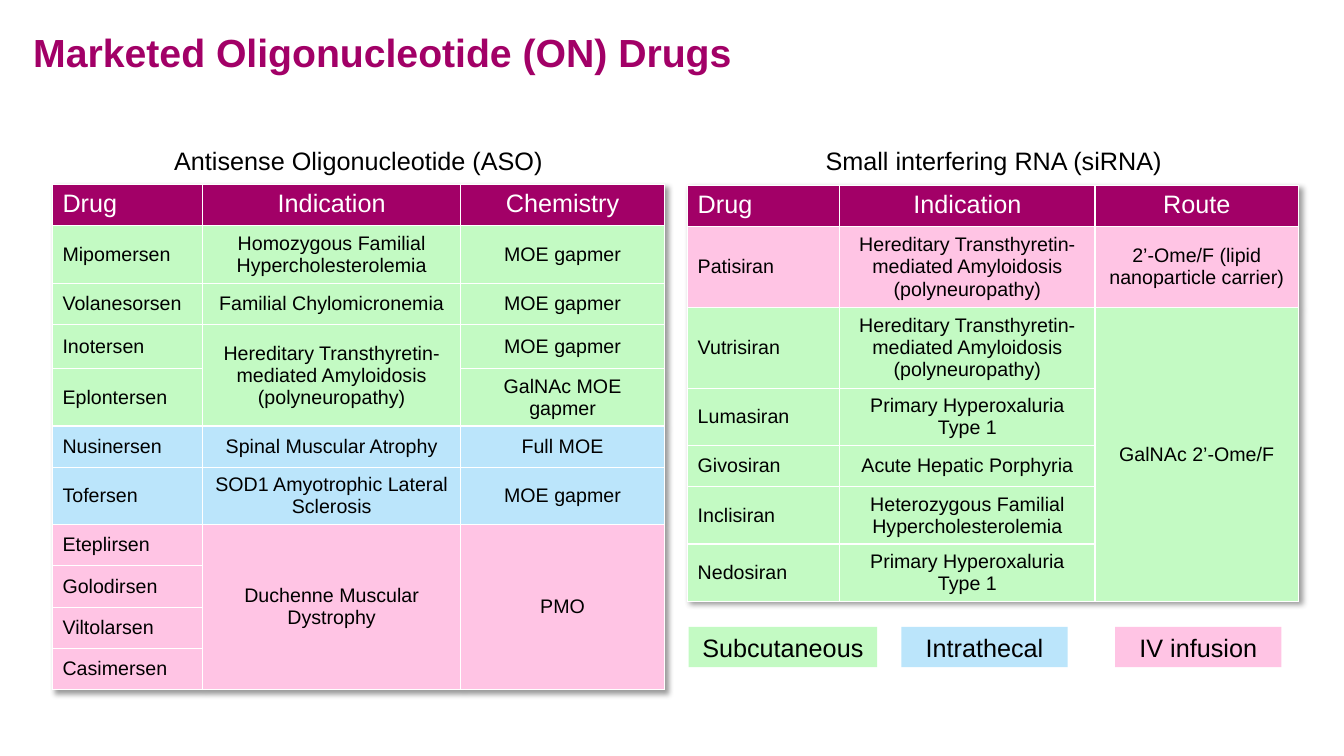
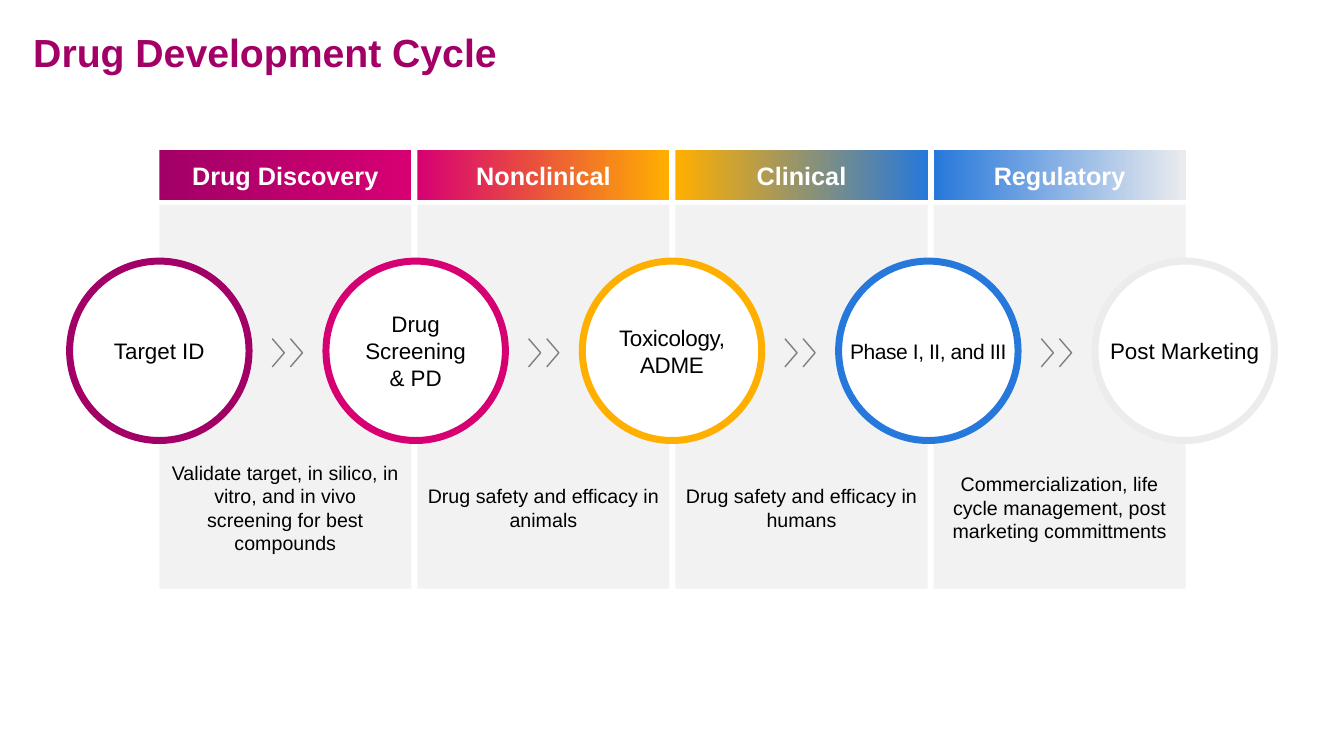
from lxml import etree
from pptx import Presentation
from pptx.dml.color import RGBColor
from pptx.enum import shapes, text
from pptx.oxml import ns
from pptx.util import Inches, Pt

FONT = "Arial"
COLORS = {
    "plum": "A20067", "magenta": "D70073", "amber": "FFAF00", "blue": "2778DB",
    "silver": "EBECEE", "panel": "F2F2F2", "chevron": "808080",
    "white": "FFFFFF", "black": "000000",
    "subcutaneous": "C3FAC3", "intrathecal": "BBE5FB", "infusion": "FFC4E4",
}
LEFT, CENTER = text.PP_ALIGN.LEFT, text.PP_ALIGN.CENTER
TOP, MIDDLE = text.MSO_ANCHOR.TOP, text.MSO_ANCHOR.MIDDLE
RECTANGLE, OVAL = shapes.MSO_SHAPE.RECTANGLE, shapes.MSO_SHAPE.OVAL
INSETS = (0.1, 0.05, 0.1, 0.05)
TIGHT = (0, 0.05, 0, 0.05)

AMYLOIDOSIS = "Hereditary Transthyretin-mediated Amyloidosis (polyneuropathy)"
TABLES = [
    {
        "caption": "Antisense Oligonucleotide (ASO)",
        "at": (0.52, 1.83),
        "widths": (1.49, 2.56, 2.02),
        "header": ("Drug", "Indication", "Chemistry"),
        "rows": [
            (0.57, "subcutaneous", "Mipomersen", "Homozygous Familial Hypercholesterolemia", "MOE gapmer"),
            (0.41, "subcutaneous", "Volanesorsen", "Familial Chylomicronemia", "MOE gapmer"),
            (0.44, "subcutaneous", "Inotersen", AMYLOIDOSIS, "MOE gapmer"),
            (0.54, "subcutaneous", "Eplontersen", None, "GalNAc MOE gapmer"),
            (0.41, "intrathecal", "Nusinersen", "Spinal Muscular Atrophy", "Full MOE"),
            (0.54, "intrathecal", "Tofersen", "SOD1 Amyotrophic Lateral Sclerosis", "MOE gapmer"),
            (0.41, "infusion", "Eteplirsen", "Duchenne Muscular Dystrophy", "PMO"),
            (0.41, "infusion", "Golodirsen", None, None),
            (0.41, "infusion", "Viltolarsen", None, None),
            (0.41, "infusion", "Casimersen", None, None),
        ],
    },
    {
        "caption": "Small interfering RNA (siRNA)",
        "at": (6.82, 1.84),
        "widths": (1.51, 2.53, 2.02),
        "header": ("Drug", "Indication", "Route"),
        "rows": [
            (0.75, "infusion", "Patisiran", AMYLOIDOSIS, "2’-Ome/F (lipid nanoparticle carrier)"),
            (0.75, "subcutaneous", "Vutrisiran", AMYLOIDOSIS, "GalNAc 2’-Ome/F"),
            (0.54, "subcutaneous", "Lumasiran", "Primary Hyperoxaluria Type 1", None),
            (0.41, "subcutaneous", "Givosiran", "Acute Hepatic Porphyria", None),
            (0.54, "subcutaneous", "Inclisiran", "Heterozygous Familial Hypercholesterolemia", None),
            (0.54, "subcutaneous", "Nedosiran", "Primary Hyperoxaluria Type 1", None),
        ],
    },
]
HEADER_HEIGHT = 0.41
LEGEND = [
    ("Subcutaneous", "subcutaneous", 6.83, 1.87),
    ("Intrathecal", "intrathecal", 8.94, 1.65),
    ("IV infusion", "infusion", 11.06, 1.65),
]

PHASES = [
    ("Drug Discovery", "Validate target, in silico, in vitro, and in vivo screening for best compounds"),
    ("Nonclinical", "Drug safety and efficacy in animals"),
    ("Clinical", "Drug safety and efficacy in humans"),
    ("Regulatory", "Commercialization, life cycle management, post marketing committments"),
]
MILESTONES = [
    {"label": "Target ID", "color": "plum", "wrap": False},
    {"label": "Drug Screening & PD", "color": "magenta"},
    {"label": "Toxicology, ADME", "color": "amber", "insets": TIGHT, "spacing": -20},
    {"label": "Phase I, II, and III", "color": "blue", "insets": TIGHT, "wrap": False,
     "size": 15, "spacing": -30},
    {"label": "Post Marketing", "color": "silver", "insets": TIGHT, "wrap": False},
]
PHASE_LEFT, PHASE_WIDTH, PHASE_PITCH = 1.58, 2.5, 2.56
CIRCLE_LEFT, CIRCLE_TOP, CIRCLE_SIZE = 0.69, 2.59, 1.78
CIRCLE_PITCH = (10.86 - CIRCLE_LEFT) / (len(MILESTONES) - 1)
CHEVRON_OFFSET, CHEVRON_GAP, CHEVRON_TOP = 2.01, 0.18, 3.36
CHEVRON_WIDTH, CHEVRON_HEIGHT = 0.12, 0.28


def rgb(name):
    return RGBColor.from_string(COLORS[name])


def write(text_frame, content, size, color="black", bold=False, align=CENTER, anchor=TOP,
          insets=INSETS, wrap=True, spacing=None):
    text_frame.text = content
    text_frame.word_wrap = wrap
    text_frame.vertical_anchor = anchor
    (text_frame.margin_left, text_frame.margin_top,
     text_frame.margin_right, text_frame.margin_bottom) = map(Inches, insets)
    paragraph = text_frame.paragraphs[0]
    paragraph.alignment = align
    for run in paragraph.runs:
        run.font.name = FONT
        run.font.size = Pt(size)
        run.font.bold = bold
        run.font.color.rgb = rgb(color)
        if spacing:
            run.font._element.set("spc", str(spacing))


def add_text(slide, box, content, size, **style):
    shape = slide.shapes.add_textbox(*map(Inches, box))
    write(shape.text_frame, content, size, **style)
    return shape


def add_filled(slide, kind, box, *fills):
    shape = slide.shapes.add_shape(kind, *map(Inches, box))
    shape.shadow.inherit = False
    shape.line.fill.background()
    if len(fills) == 1:
        shape.fill.solid()
        shape.fill.fore_color.rgb = rgb(fills[0])
    else:
        shape.fill.gradient()
        shape.fill.gradient_angle = 0
        for stop, name in zip(shape.fill.gradient_stops, fills):
            stop.color.rgb = rgb(name)
    return shape


def add_slide(presentation, title):
    slide = presentation.slides.add_slide(presentation.slide_layouts[6])
    shape = add_text(slide, (0.33, 0.33, 12.67, 0.86), title, 28, color="plum",
                     bold=True, align=LEFT, insets=(0, 0, 0, 0))
    shape.text_frame.paragraphs[0].line_spacing = 0.9
    return slide


def style_cell(cell, fill):
    properties = cell._tc.get_or_add_tcPr()
    for side in ("a:lnL", "a:lnR", "a:lnT", "a:lnB"):
        line = etree.SubElement(properties, ns.qn(side), w=str(Pt(1)))
        solid = etree.SubElement(line, ns.qn("a:solidFill"))
        etree.SubElement(solid, ns.qn("a:srgbClr"), val=COLORS["white"])
    cell.fill.solid()
    cell.fill.fore_color.rgb = rgb(fill)


def add_table_shadow(table):
    effects = etree.Element(ns.qn("a:effectLst"))
    shadow = etree.SubElement(effects, ns.qn("a:outerShdw"), blurRad=str(Pt(4)),
                              dist=str(Pt(3)), dir="2700000", algn="tl", rotWithShape="0")
    color = etree.SubElement(shadow, ns.qn("a:srgbClr"), val=COLORS["black"])
    etree.SubElement(color, ns.qn("a:alpha"), val="40000")
    table._tbl.tblPr.insert(0, effects)


def add_drug_table(slide, data):
    rows = [(HEADER_HEIGHT, "plum", *data["header"])] + data["rows"]
    box = (*data["at"], sum(data["widths"]), sum(row[0] for row in rows))
    table = slide.shapes.add_table(len(rows), len(data["widths"]), *map(Inches, box)).table
    table.horz_banding = False
    add_table_shadow(table)
    for column, width in zip(table.columns, data["widths"]):
        column.width = Inches(width)
    for r, (height, fill, *values) in enumerate(rows):
        table.rows[r].height = Inches(height)
        for c, value in enumerate(values):
            cell = table.cell(r, c)
            style_cell(cell, fill)
            if value is None:
                continue
            heading = r == 0
            anchor = TOP if heading else MIDDLE
            write(cell.text_frame, value, 18 if heading else 14,
                  color="white" if heading else "black", align=CENTER if c else LEFT)
            cell.vertical_anchor = anchor
            last = r
            while last + 1 < len(rows) and rows[last + 1][c + 2] is None:
                last += 1
            if last > r:
                cell.merge(table.cell(last, c))


def add_chevron(slide, left):
    points = [(left, CHEVRON_TOP),
              (left + CHEVRON_WIDTH, CHEVRON_TOP + CHEVRON_HEIGHT / 2),
              (left, CHEVRON_TOP + CHEVRON_HEIGHT)]
    start, *others = [(Inches(x), Inches(y)) for x, y in points]
    builder = slide.shapes.build_freeform(*start)
    builder.add_line_segments(others, close=False)
    shape = builder.convert_to_shape()
    shape.shadow.inherit = False
    shape.fill.background()
    shape.line.color.rgb = rgb("chevron")
    shape.line.width = Pt(1)


def build_drugs(presentation):
    slide = add_slide(presentation, "Marketed Oligonucleotide (ON) Drugs")
    for data in TABLES:
        add_drug_table(slide, data)
        add_text(slide, (data["at"][0], 1.39, 6.07, 0.4), data["caption"], 18)
    for label, fill, left, width in LEGEND:
        shape = add_filled(slide, RECTANGLE, (left, 6.22, width, 0.4), fill)
        write(shape.text_frame, label, 18)


def build_cycle(presentation):
    slide = add_slide(presentation, "Drug Development Cycle")
    for i, (name, description) in enumerate(PHASES):
        left = PHASE_LEFT + i * PHASE_PITCH
        panel = add_filled(slide, RECTANGLE, (left, 2.03, PHASE_WIDTH, 3.81), "panel")
        write(panel.text_frame, description, 14, anchor=MIDDLE, insets=(0.1, 2.2, 0.1, 0))
        band = add_filled(slide, RECTANGLE, (left, 1.49, PHASE_WIDTH, 0.49),
                          MILESTONES[i]["color"], MILESTONES[i + 1]["color"])
        write(band.text_frame, name, 18, color="white", bold=True, anchor=MIDDLE)
        for k in range(2):
            add_chevron(slide, CIRCLE_LEFT + i * CIRCLE_PITCH + CHEVRON_OFFSET + k * CHEVRON_GAP)
    for i, milestone in enumerate(MILESTONES):
        left = CIRCLE_LEFT + i * CIRCLE_PITCH
        circle = add_filled(slide, OVAL, (left, CIRCLE_TOP, CIRCLE_SIZE, CIRCLE_SIZE), "white")
        circle.line.color.rgb = rgb(milestone["color"])
        circle.line.width = Pt(5)
        write(circle.text_frame, milestone["label"], milestone.get("size", 16), anchor=MIDDLE,
              insets=milestone.get("insets", INSETS), wrap=milestone.get("wrap", True),
              spacing=milestone.get("spacing"))


def main():
    presentation = Presentation()
    presentation.slide_width, presentation.slide_height = Inches(13.33), Inches(7.5)
    build_drugs(presentation)
    build_cycle(presentation)
    presentation.save("out.pptx")


if __name__ == "__main__":
    main()
